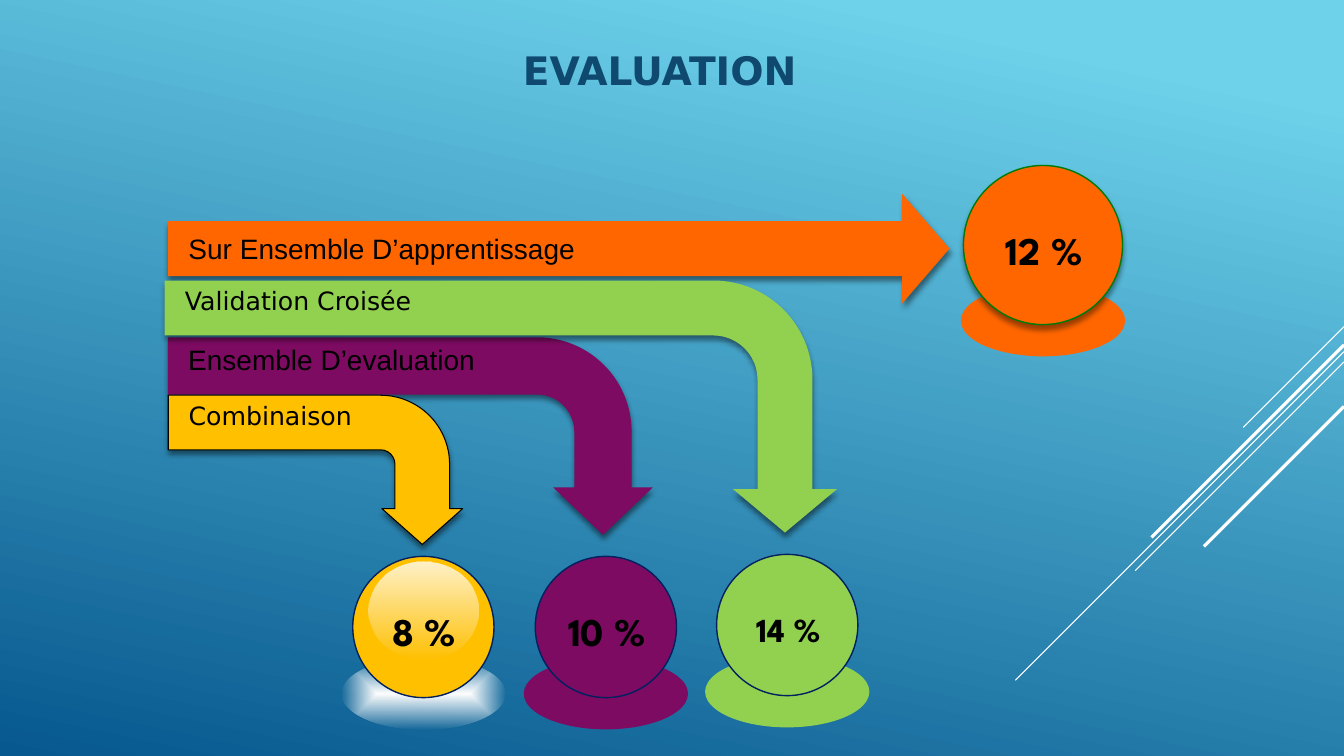
from lxml.etree import SubElement
from pptx import Presentation
from pptx.dml.color import RGBColor
from pptx.enum.shapes import MSO_CONNECTOR, MSO_SHAPE
from pptx.enum.text import MSO_ANCHOR, MSO_AUTO_SIZE, PP_ALIGN
from pptx.oxml import parse_xml
from pptx.oxml.ns import nsdecls, qn
from pptx.util import Cm, Pt

WHITE = RGBColor(0xFF, 0xFF, 0xFF)
BLACK = RGBColor(0, 0, 0)
SKY = RGBColor(0x6E, 0xD2, 0xEB)
SEA = RGBColor(0x06, 0x58, 0x8E)
TITLE_BLUE = RGBColor(0x0F, 0x49, 0x6F)
NAVY = RGBColor(0x00, 0x20, 0x60)
DARK_GREEN = RGBColor(0x00, 0x7A, 0x06)
PURPLE = RGBColor(0x7C, 0x0B, 0x61)
YELLOW = RGBColor(0xFF, 0xC0, 0x00)
ORANGE = RGBColor(0xFF, 0x66, 0x00)
GREEN = RGBColor(0x92, 0xD0, 0x50)

SLIDE_WIDTH, SLIDE_HEIGHT = 33.87, 19.05
RADIAL = '<a:path path="shape"><a:fillToRect l="50000" t="50000" r="50000" b="50000"/></a:path>'
DOWNWARD = '<a:lin ang="5400000" scaled="0"/>'


class EvaluationSlide:
    """Draws the evaluation arrows and result balls on one slide, in centimetres."""

    def __init__(self, deck):
        self.page = deck.slides.add_slide(deck.slide_layouts[5])
        self.label_font = "League Spartan"

    def background(self):
        fill = self.page.background.fill
        fill.gradient()
        fill.gradient_angle = 258
        for stop, position, color in zip(fill.gradient_stops, (0.1, 1), (SKY, SEA)):
            stop.position = position
            stop.color.rgb = color

    def title(self, text):
        box = self.page.shapes.title
        box.left, box.top, box.width, box.height = Cm(3.76), Cm(0.69), Cm(25.43), Cm(1.5)
        frame = box.text_frame
        frame.margin_left, frame.margin_top = Cm(0.55), Cm(0.48)
        frame.auto_size = MSO_AUTO_SIZE.NONE
        self.caption(box, text, 28, "DejaVu Sans", TITLE_BLUE, True,
                     PP_ALIGN.CENTER, MSO_ANCHOR.TOP)

    def caption(self, box, text, size, font, color=BLACK, bold=False,
                align=PP_ALIGN.LEFT, anchor=MSO_ANCHOR.MIDDLE):
        frame = box.text_frame
        frame.text = text
        frame.word_wrap = True
        frame.vertical_anchor = anchor
        para = frame.paragraphs[0]
        para.alignment = align
        span = para.runs[0].font
        span.size, span.name, span.bold = Pt(size), font, bold
        span.color.rgb = color

    def shape(self, kind, left, top, width, height, fill=None, line=None, line_width=1):
        box = self.page.shapes.add_shape(kind, Cm(left), Cm(top), Cm(width), Cm(height))
        box.shadow.inherit = False
        if fill is None:
            box.fill.background()
        else:
            box.fill.solid()
            box.fill.fore_color.rgb = fill
        if line is None:
            box.line.fill.background()
        else:
            box.line.color.rgb = line
            box.line.width = Pt(line_width)
        return box

    def shadow(self, box, opacity):
        effects = box.element.spPr.find(qn("a:effectLst"))
        outer = SubElement(effects, qn("a:outerShdw"), blurRad=str(Pt(4)), dist=str(Pt(3)),
                           dir="5400000", rotWithShape="0")
        color = SubElement(outer, qn("a:srgbClr"), val=str(BLACK))
        SubElement(color, qn("a:alpha"), val=str(opacity * 1000))

    def fade(self, box, opacity, direction):
        stops = "".join(
            f'<a:gs pos="{position}"><a:srgbClr val="{WHITE}"><a:alpha val="{alpha * 1000}"/>'
            "</a:srgbClr></a:gs>" for position, alpha in ((0, opacity), (100000, 0)))
        gradient = parse_xml(f'<a:gradFill {nsdecls("a")} rotWithShape="1">'
                             f"<a:gsLst>{stops}</a:gsLst>{direction}</a:gradFill>")
        properties = box.element.spPr
        properties.replace(properties.find(qn("a:noFill")), gradient)

    def diagonal(self, top, length, width):
        line = self.page.shapes.add_connector(
            MSO_CONNECTOR.STRAIGHT, Cm(SLIDE_WIDTH), Cm(top),
            Cm(SLIDE_WIDTH - length), Cm(top + length))
        line.line.color.rgb = WHITE
        line.line.width = Pt(width)
        SubElement(line.element.spPr, qn("a:effectLst"))

    def straight_arrow(self, text, left, top, width, height, color):
        arrow = self.shape(MSO_SHAPE.RIGHT_ARROW, left, top, width, height, color)
        arrow.adjustments[0], arrow.adjustments[1] = 0.501, 0.432
        self.shadow(arrow, 46)
        arrow.text_frame.margin_left = Cm(0.51)
        self.caption(arrow, text, 20, "Arial")

    def bent_arrow(self, text, left, top, width, height, color, bends, size, font, line=None):
        shift = (width - height) / 2
        arrow = self.shape(MSO_SHAPE.BENT_ARROW, left + shift, top - shift,
                           height, width, color, line, 0.75)
        arrow.rotation = 90
        for index, bend in enumerate(bends):
            arrow.adjustments[index] = bend
        self.shadow(arrow, 46)
        frame = arrow.text_frame
        frame.margin_bottom = Cm(0.51)
        self.caption(arrow, text, size, font, anchor=MSO_ANCHOR.TOP)
        arrow.element.txBody.find(qn("a:bodyPr")).set("vert", "vert270")

    def ball(self, text, left, top, size, color, outline=NAVY, text_size=28,
             glossy=False, shaded=False):
        center = left + size / 2
        surface = None if glossy else color
        base = self.shape(MSO_SHAPE.OVAL, center - 2.07, top + size - 1, 4.14, 1.8, surface)
        ball = self.shape(MSO_SHAPE.OVAL, left, top, size, size, color, outline)
        shine = self.shape(MSO_SHAPE.OVAL, center - 0.39 * size, top + 0.04 * size,
                           0.78 * size, 0.69 * size, surface)
        if glossy:
            self.fade(base, 100, RADIAL)
            self.fade(shine, 80, DOWNWARD)
        if shaded:
            self.shadow(ball, 40)
        label_height = Pt(text_size * 1.2).cm + 0.25
        label = self.shape(MSO_SHAPE.RECTANGLE, center - 1.5,
                           top + 0.53 * size - label_height / 2, 3.05, label_height, surface)
        self.caption(label, text, text_size, self.label_font, bold=True, align=PP_ALIGN.CENTER)
        label.text_frame.auto_size = MSO_AUTO_SIZE.SHAPE_TO_FIT_TEXT


def main():
    deck = Presentation()
    deck.slide_width, deck.slide_height = Cm(SLIDE_WIDTH), Cm(SLIDE_HEIGHT)
    slide = EvaluationSlide(deck)
    slide.background()
    slide.title("EVALUATION")
    for top, length, width in ((8.23, 2.54, 0.75), (8.86, 8.28, 0.75), (9.12, 5.26, 0.75),
                               (8.69, 4.85, 2.25), (10.24, 3.53, 2.25)):
        slide.diagonal(top, length, width)

    slide.bent_arrow("Ensemble D’evaluation", 4.23, 8.5, 12.22, 4.98, PURPLE,
                     (0.29, 0.252, 0.24, 0.478), 20, "Arial")
    slide.ball("10 %", 13.49, 14.02, 3.56, PURPLE)
    slide.ball("8 %", 8.89, 14.02, 3.56, YELLOW, glossy=True)
    slide.bent_arrow("Combinaison", 4.24, 9.96, 7.42, 3.76, YELLOW,
                     (0.366, 0.271, 0.24, 0.463), 18, "DejaVu Sans", BLACK)
    slide.straight_arrow("Sur Ensemble D’apprentissage", 4.24, 4.88, 19.69, 2.77, ORANGE)
    slide.ball("12 %", 24.28, 4.17, 4.01, ORANGE, DARK_GREEN, shaded=True)
    slide.bent_arrow("Validation Croisée", 4.15, 7.07, 16.94, 6.35, GREEN,
                     (0.218, 0.206, 0.172, 0.393), 18, "DejaVu Sans")
    slide.ball("14 %", 18.06, 13.97, 3.56, GREEN, text_size=24)
    deck.save("out.pptx")


if __name__ == "__main__":
    main()
